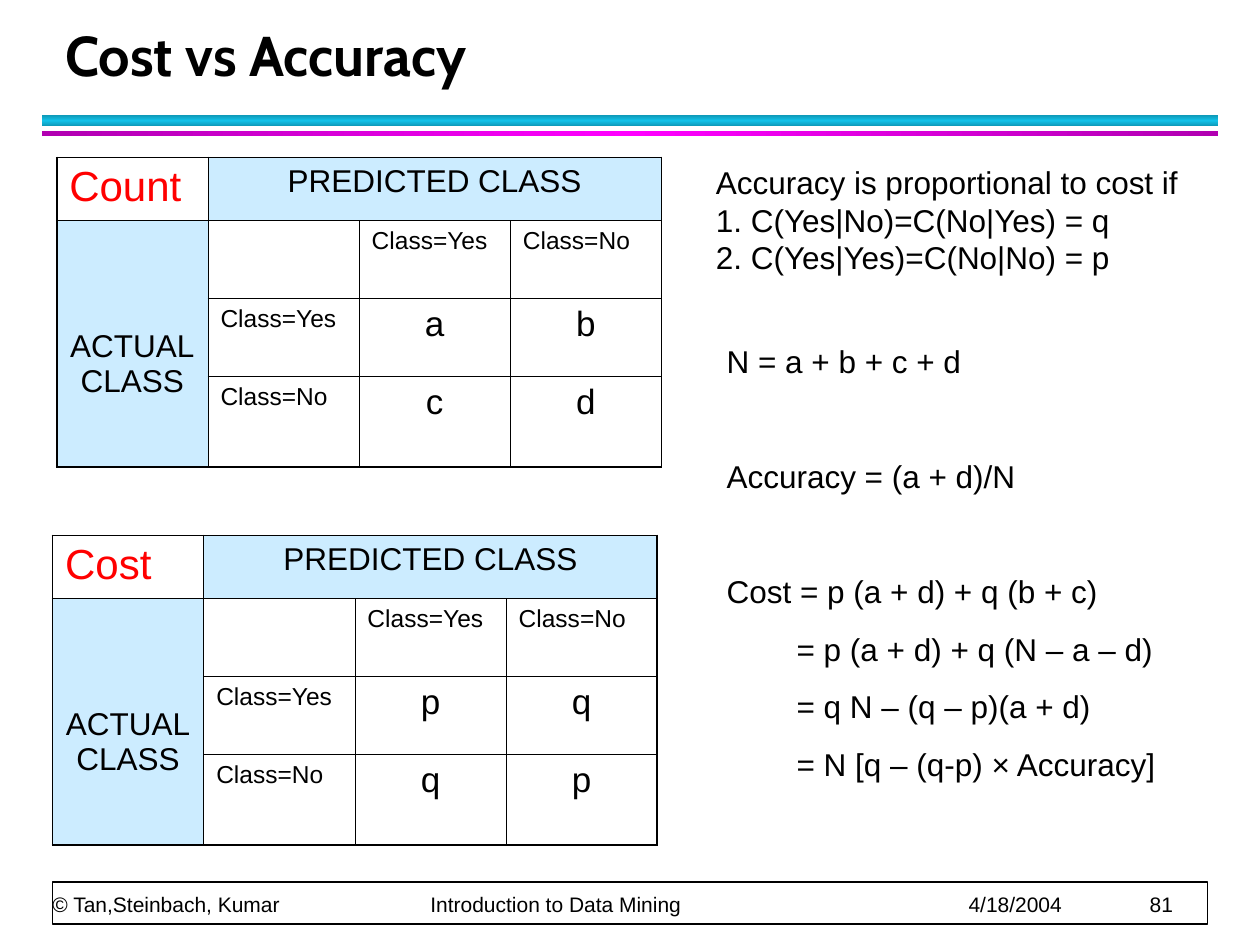
from copy import deepcopy

from lxml import etree
from pptx import Presentation
from pptx.dml.color import RGBColor
from pptx.enum import shapes, text
from pptx.oxml import ns
from pptx.util import Pt

BLACK = RGBColor(0, 0, 0)
WHITE = RGBColor(255, 255, 255)
RED = RGBColor(255, 0, 0)
PALE = RGBColor(0xCC, 0xEC, 0xFF)
TEAL = RGBColor(0x0E, 0x9A, 0xB9)
CYAN = RGBColor(0x12, 0xC2, 0xE9)
PLUM = RGBColor(0xB1, 0x00, 0xB1)
PINK = RGBColor(0xFF, 0x00, 0xFF)

LEFT, CENTER = text.PP_ALIGN.LEFT, text.PP_ALIGN.CENTER


class Deck:
    font = "Arial"
    size = 18
    pitch = 21.4
    thin, thick = 0.45, 1.08
    cols = [86.4] * 4
    rows = [36, 44.6, 44.6, 51.6]

    def __init__(self, show):
        self.slide = show.slides.add_slide(show.slide_layouts[1])

    def place(self, item, left, top, width, height):
        item.left, item.top = Pt(left), Pt(top)
        item.width, item.height = Pt(width), Pt(height)

    def say(self, para, words, size=None, color=BLACK, align=LEFT, font=None):
        para.alignment = align
        for i, line in enumerate(words.split("\n")):
            if i:
                para.add_line_break()
            run = para.add_run()
            run.text = line
            run.font.name = font or self.font
            run.font.size = Pt(size or self.size)
            run.font.color.rgb = color
        return run

    def box(self, left, top, width, height):
        frame = self.slide.shapes.add_textbox(
            Pt(left), Pt(top), Pt(width), Pt(height)).text_frame
        frame.word_wrap = True
        return frame

    def rect(self, left, top, width, height):
        item = self.slide.shapes.add_shape(
            shapes.MSO_SHAPE.RECTANGLE, Pt(left), Pt(top), Pt(width), Pt(height))
        item.shadow.inherit = False
        return item

    def band(self, top, height, edge, core, angle):
        item = self.rect(24, top, 672, height)
        item.line.fill.background()
        item.fill.gradient()
        item.fill.gradient_angle = angle
        for stop in item.fill.gradient_stops:
            stop.color.rgb = edge
        # A third stop in the middle
        stops = item._element.spPr.find(".//" + ns.qn("a:gsLst"))
        stops.insert(1, deepcopy(stops[0]))
        for stop, spot, color in zip(item.fill.gradient_stops,
                                     (0, 0.5, 1), (edge, core, edge)):
            stop.position, stop.color.rgb = spot, color

    def title(self, words):
        item = self.slide.shapes.title
        self.place(item, 30, 12, 652, 42)
        frame = item.text_frame
        frame.auto_size = text.MSO_AUTO_SIZE.NONE
        frame.vertical_anchor = text.MSO_ANCHOR.BOTTOM
        para = frame.paragraphs[0]
        para.line_spacing = Pt(36)
        self.say(para, words, 32, font="Cabin").font.bold = True

    def list(self, items):
        item = self.slide.placeholders[1]
        self.place(item, 408, 192, 282, 292)
        frame = item.text_frame
        frame.auto_size = text.MSO_AUTO_SIZE.NONE
        for i, (words, gap, inset) in enumerate(items):
            para = frame.add_paragraph() if i else frame.paragraphs[0]
            para.space_before = Pt(gap)
            para.line_spacing = Pt(self.pitch)
            self.say(para, words)
            props = para._p.get_or_add_pPr()
            props.set("marL", str(Pt(inset)))
            props.set("indent", "0")
            etree.SubElement(props, ns.qn("a:buNone"))

    def note(self, words):
        para = self.box(402, 90, 294, 72).paragraphs[0]
        para.line_spacing = Pt(self.pitch)
        self.say(para, words)

    def foot(self, parts, stops):
        frame = self.box(30, 484, 659, 40)
        frame.margin_left = frame.margin_right = 0
        frame.margin_top = frame.margin_bottom = 0
        frame.vertical_anchor = text.MSO_ANCHOR.BOTTOM
        para = frame.paragraphs[0]
        para.line_spacing = Pt(20)
        self.say(para, "\t".join(parts), 12)
        tabs = etree.SubElement(para._p.get_or_add_pPr(), ns.qn("a:tabLst"))
        for stop in stops:
            etree.SubElement(tabs, ns.qn("a:tab"), pos=str(Pt(stop)), algn="l")

    def edge(self, cell, side, width):
        line = etree.SubElement(cell._tc.get_or_add_tcPr(),
                                ns.qn("a:ln" + side), w=str(Pt(width)))
        fill = etree.SubElement(line, ns.qn("a:solidFill"))
        etree.SubElement(fill, ns.qn("a:srgbClr"), val=str(BLACK))

    def grid(self, left, top, name, marks):
        table = self.slide.shapes.add_table(
            4, 4, Pt(left), Pt(top), Pt(sum(self.cols)), Pt(sum(self.rows))).table
        table.first_row = table.horz_banding = False
        for col, width in zip(table.columns, self.cols):
            col.width = Pt(width)
        for row, height in zip(table.rows, self.rows):
            row.height = Pt(height)
        table.cell(0, 1).merge(table.cell(0, 3))
        table.cell(1, 0).merge(table.cell(3, 0))

        # Borders and fills
        for r in range(4):
            for c in range(4):
                cell = table.cell(r, c)
                outer = {"L": c == 0, "R": c + cell.span_width == 4,
                         "T": r == 0, "B": r + cell.span_height == 4}
                for side, rim in outer.items():
                    self.edge(cell, side, self.thick if rim else self.thin)
                if (r == 0) != (c == 0):
                    cell.fill.solid()
                    cell.fill.fore_color.rgb = PALE
                else:
                    cell.fill.background()

        # Words
        def put(r, c, words, *style):
            self.say(table.cell(r, c).text_frame.paragraphs[0], words, *style)

        put(0, 0, name, 24, RED)
        put(0, 1, "PREDICTED CLASS", 18, BLACK, CENTER)
        table.cell(1, 0).margin_top = Pt(62)
        put(1, 0, "ACTUAL\nCLASS", 18, BLACK, CENTER)
        for i, label in enumerate(("Class=Yes", "Class=No"), 2):
            put(1, i, label, 14)
            put(i, 1, label, 14)
        for i, mark in enumerate(marks):
            put(2 + i // 2, 2 + i % 2, mark, 20, BLACK, CENTER)


def main():
    show = Presentation()
    show.slide_width, show.slide_height = Pt(720), Pt(540)
    deck = Deck(show)

    # Header
    deck.band(66, 6, TEAL, CYAN, 90)
    deck.band(75, 3, PLUM, PINK, 0)
    deck.title("Cost vs Accuracy")

    # Footer
    frame = deck.rect(30, 504, 660, 24)
    frame.fill.solid()
    frame.fill.fore_color.rgb = WHITE
    frame.line.color.rgb = BLACK
    frame.line.width = Pt(1)
    deck.foot(["© Tan,Steinbach, Kumar", "Introduction to Data Mining",
               "4/18/2004", "81"], [216, 523.5, 627])

    # Count and cost tables
    deck.grid(32.4, 90, "Count", "abcd")
    deck.grid(30, 306, "Cost", "pqqp")

    # Formulas: words, gap above, indent
    near, far, inset = 11.5, 44.4, 40
    deck.list([
        ("N = a + b + c + d", 0, 0),
        ("Accuracy = (a + d)/N", far, 0),
        ("Cost = p (a + d) + q (b + c)", far, 0),
        ("= p (a + d) + q (N – a – d)", near, inset),
        ("= q N – (q – p)(a + d)", near, inset),
        ("= N [q – (q-p) × Accuracy]", near, inset),
    ])
    deck.note("Accuracy is proportional to cost if\n"
              "1. C(Yes|No)=C(No|Yes) = q\n"
              "2. C(Yes|Yes)=C(No|No) = p")

    show.save("out.pptx")


if __name__ == "__main__":
    main()
